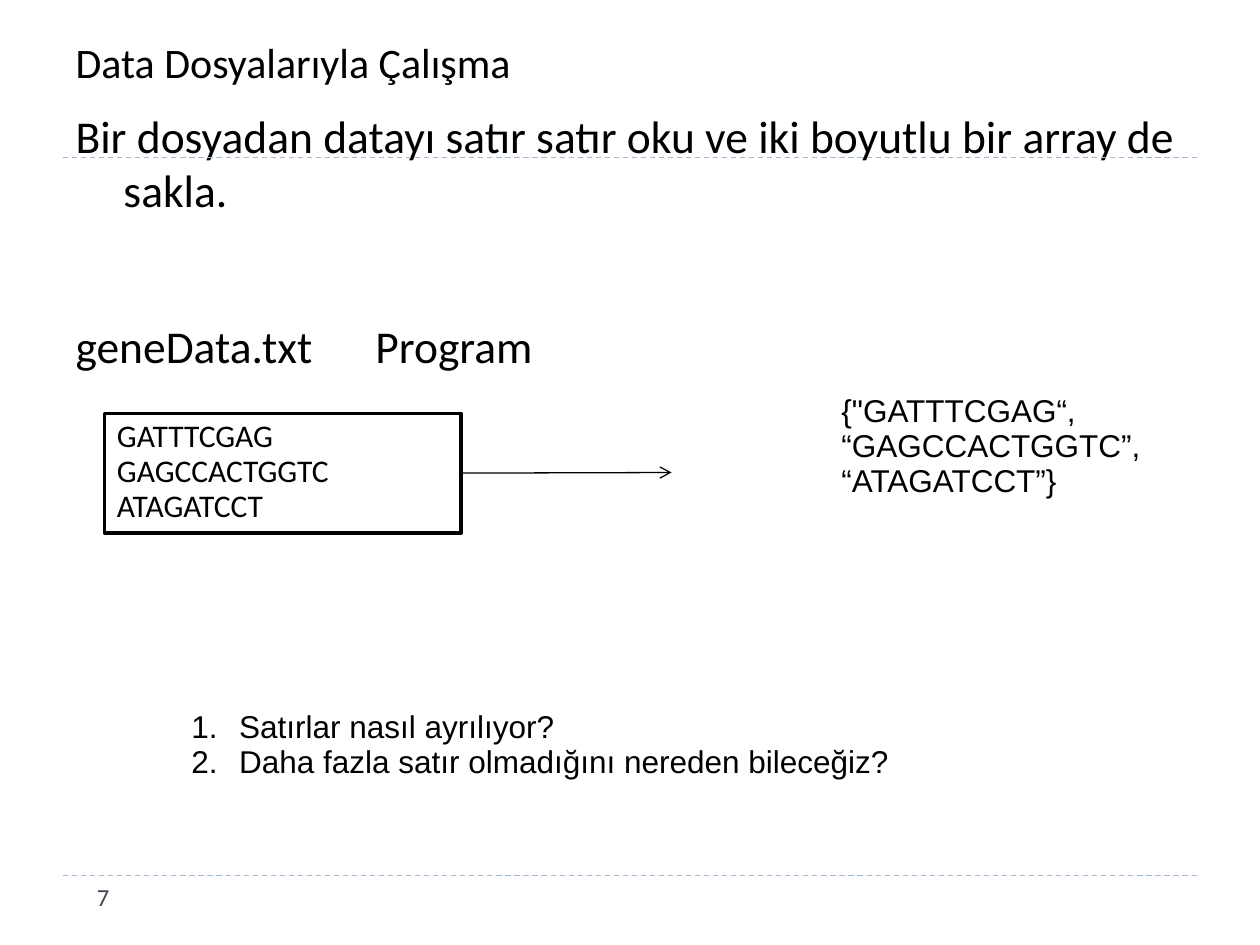
from pptx import Presentation
from pptx.dml.color import RGBColor
from pptx.enum.dml import MSO_LINE
from pptx.enum.shapes import MSO_CONNECTOR, MSO_SHAPE
from pptx.enum.text import MSO_ANCHOR, MSO_AUTO_SIZE, PP_ALIGN
from pptx.oxml.ns import qn
from pptx.util import Inches, Pt
from lxml.etree import SubElement

COLORS = {"ink": "000000", "paper": "FFFFFF", "rule": "9FB8CD", "page": "464653"}


def color(name):
    return RGBColor.from_string(COLORS[name])


def write(frame, lines, size=18, font="Arial", ink="ink", spacing=0.93,
          gaps=None, hang=0, bullet=None, tab=None, anchor=MSO_ANCHOR.TOP, wrap=True):
    frame.auto_size = MSO_AUTO_SIZE.NONE
    frame.word_wrap = wrap
    frame.vertical_anchor = anchor
    for i, line in enumerate(lines):
        para = frame.paragraphs[0] if i == 0 else frame.add_paragraph()
        para.alignment = PP_ALIGN.LEFT
        para.line_spacing = spacing
        para.space_before = Pt(gaps[i] if gaps else 0)
        run = para.add_run()
        run.text = line
        run.font.size = Pt(size)
        run.font.name = font
        run.font.color.rgb = color(ink)
        props = para._p.get_or_add_pPr()
        props.set("marL", str(Inches(hang)))
        props.set("indent", str(Inches(-hang)))
        if bullet:
            SubElement(props, qn("a:buFont"), typeface="+mj-lt")
            SubElement(props, qn("a:buAutoNum"), type=bullet)
        else:
            SubElement(props, qn("a:buNone"))
        if tab:
            tabs = SubElement(props, qn("a:tabLst"))
            SubElement(tabs, qn("a:tab"), pos=str(Inches(tab)), algn="l")


class Deck:
    """Holds the style and the current slide."""

    def __init__(self, width, height):
        self.prs = Presentation()
        self.prs.slide_width = Inches(width)
        self.prs.slide_height = Inches(height)
        self.slide = self.prs.slides.add_slide(self.prs.slide_layouts[1])

    def holder(self, index, spot, lines, **style):
        shape = self.slide.placeholders[index]
        shape.left, shape.top, shape.width, shape.height = map(Inches, spot)
        write(shape.text_frame, lines, font="Calibri", spacing=0.98, **style)

    def text(self, spot, lines, **style):
        box = self.slide.shapes.add_textbox(*map(Inches, spot))
        write(box.text_frame, lines, **style)

    def box(self, spot, lines, **style):
        shape = self.slide.shapes.add_shape(MSO_SHAPE.RECTANGLE, *map(Inches, spot))
        shape.shadow.inherit = False
        shape.fill.solid()
        shape.fill.fore_color.rgb = color("paper")
        shape.line.color.rgb = color("ink")
        shape.line.width = Pt(2)
        write(shape.text_frame, lines, **style)
        return shape

    def line(self, start, end, ink="rule", dash=None, source=None, arrow=False):
        link = self.slide.shapes.add_connector(
            MSO_CONNECTOR.STRAIGHT, *map(Inches, start + end))
        if source is not None:
            link.begin_connect(source, 3)
        link.line.color.rgb = color(ink)
        link.line.width = Pt(0.75)
        if dash:
            link.line.dash_style = dash
        if arrow:
            SubElement(link.line._get_or_add_ln(), qn("a:tailEnd"), type="arrow")
        SubElement(link._element.spPr, qn("a:effectLst"))


def main():
    deck = Deck(10, 7.5)
    for y in (6.95, 1.25):
        deck.line((0.5, y), (9.5, y), dash=MSO_LINE.DASH)
    deck.holder(0, (0.5, 0.17, 9, 0.58), ["Data Dosyalarıyla Çalışma"],
                size=24, anchor=MSO_ANCHOR.BOTTOM)
    deck.holder(1, (0.5, 0.83, 9, 6.25),
                ["Bir dosyadan datayı satır satır oku ve iki boyutlu bir array de sakla.",
                 "geneData.txt\tProgram"],
                size=26, gaps=(14.2, 59), hang=0.38, tab=6.38)
    deck.text((0.67, 6.95, 2.16, 0.4), ["7"], size=14, font="Calibri",
              ink="page", spacing=1)
    genes = deck.box((0.83, 3.28, 2.83, 0.95),
                     ["GATTTCGAG", "GAGCCACTGGTC", "ATAGATCCT"], font="Calibri")
    deck.line((3.66, 3.75), (5.33, 3.75), ink="ink", source=genes, arrow=True)
    deck.text((6.58, 3.08, 2.6, 1.23),
              ['{"GATTTCGAG“,', "“GAGCCACTGGTC”,", "“ATAGATCCT”}"], wrap=False)
    deck.text((1.42, 5.59, 7.42, 0.66),
              ["Satırlar nasıl ayrılıyor?",
               "Daha fazla satır olmadığını nereden bileceğiz?"],
              hang=0.38, bullet="arabicPeriod")
    deck.prs.save("out.pptx")


if __name__ == "__main__":
    main()
